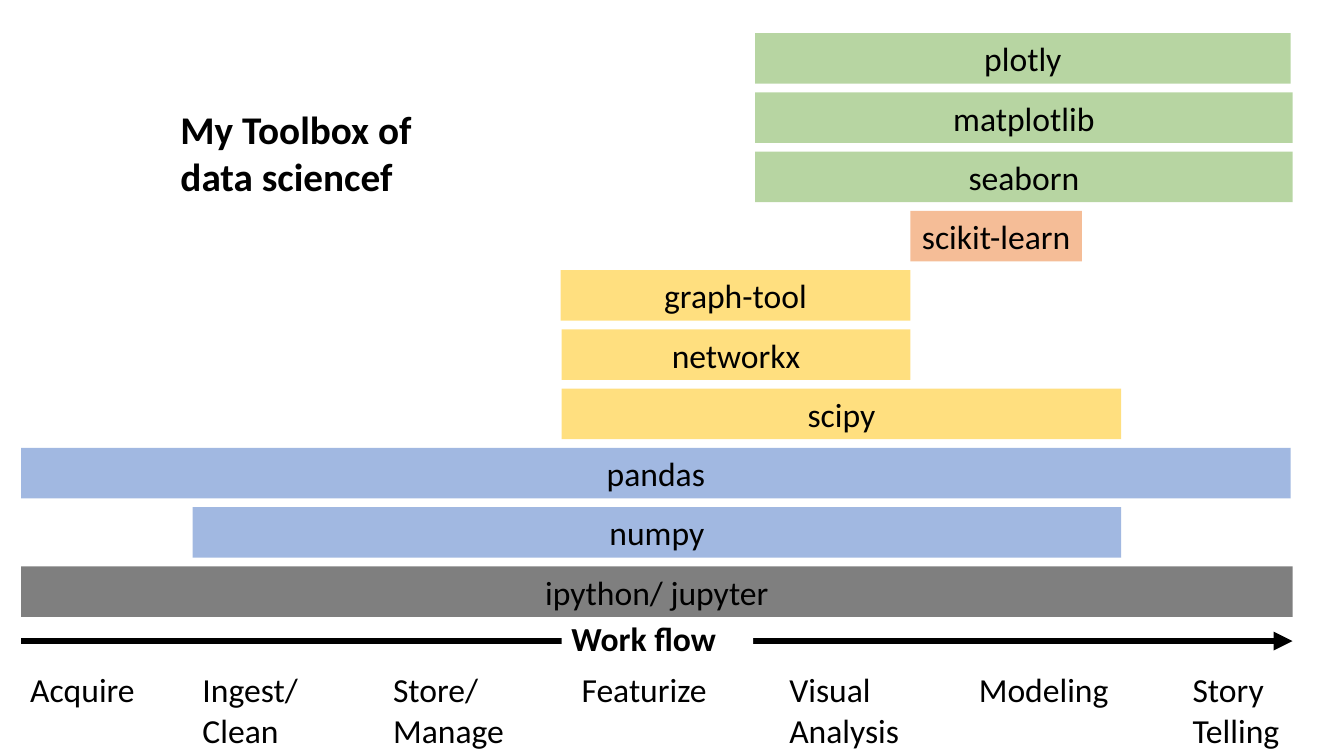
from lxml import etree
from pptx import Presentation
from pptx.dml.color import RGBColor
from pptx.enum.shapes import MSO_CONNECTOR, MSO_SHAPE
from pptx.enum.text import MSO_ANCHOR, MSO_AUTO_SIZE, PP_ALIGN
from pptx.oxml.ns import qn
from pptx.util import Inches, Pt

RECTANGLE = MSO_SHAPE.RECTANGLE
STRAIGHT = MSO_CONNECTOR.STRAIGHT
LEFT, CENTER = PP_ALIGN.LEFT, PP_ALIGN.CENTER
TOP, MIDDLE = MSO_ANCHOR.TOP, MSO_ANCHOR.MIDDLE
NO_FIT = MSO_AUTO_SIZE.NONE

COLORS = {
    "black": "000000",
    "white": "FFFFFF",
    "blue": "4472C4",
    "yellow": "FFC000",
    "orange": "ED7D31",
    "green": "70AD47",
}
FLOW_LEFT, FLOW_RIGHT, FLOW_TOP = 0.21, 12.82, 6.36
FIRST_BAR_TOP, LAST_BAR_TOP, ROW_HEIGHT = 0.33, 5.62, 0.5
STAGE_TOP = 6.59

# Tool, left edge, right edge, color; from top to bottom
TOOLS = [
    ("plotly", 7.49, 12.8, "green"),
    ("matplotlib", 7.49, FLOW_RIGHT, "green"),
    ("seaborn", 7.49, FLOW_RIGHT, "green"),
    ("scikit-learn", 9.03, 10.73, "orange"),
    ("graph-tool", 5.56, 9.03, "yellow"),
    ("networkx", 5.57, 9.03, "yellow"),
    ("scipy", 5.57, 11.12, "yellow"),
    ("pandas", FLOW_LEFT, 12.8, "blue"),
    ("numpy", 1.91, 11.12, "blue"),
    ("ipython/ jupyter", FLOW_LEFT, FLOW_RIGHT, "black"),
]
# Stage lines, left edge, width
STAGES = [
    (["Acquire"], 0.2, 1.25),
    (["Ingest/", "Clean"], 1.91, 1.16),
    (["Store/", "Manage"], 3.8, 1.31),
    (["Featurize"], 5.67, 1.46),
    (["Visual", "Analysis"], 7.73, 1.3),
    (["Modeling"], 9.61, 1.5),
    (["Story", "Telling"], 11.73, 1.07),
]


class ToolboxSlide:
    """Holds the text style and the current slide."""

    def __init__(self, page, font="Calibri", size=24):
        """Keep the page and its default font."""
        self.page, self.font, self.size = page, font, size

    def color(self, name):
        """Return the named color."""
        return RGBColor.from_string(COLORS[name])

    def set_text(self, shape, lines, align=LEFT, anchor=TOP, bold=False,
                 size=None, wrap=True):
        """Fill a shape with one paragraph per line."""
        frame = shape.text_frame
        frame.text = "\n".join(lines)
        frame.word_wrap = wrap
        frame.auto_size = NO_FIT
        frame.vertical_anchor = anchor
        frame.margin_left = frame.margin_right = Inches(0.1)
        frame.margin_top = frame.margin_bottom = Inches(0.05)
        for para in frame.paragraphs:
            para.alignment = align
            para.font.name = self.font
            para.font.size = Pt(size or self.size)
            para.font.bold = bold
            para.font.color.rgb = self.color("black")

    def title(self, text, left, top, width, height):
        """Place and format the title placeholder."""
        box = self.page.shapes.title
        box.left, box.top = Inches(left), Inches(top)
        box.width, box.height = Inches(width), Inches(height)
        self.set_text(box, [text], bold=True, size=28)

    def label(self, lines, left, top, width, height):
        """Add an unwrapped text box."""
        box = self.page.shapes.add_textbox(
            Inches(left), Inches(top), Inches(width), Inches(height))
        self.set_text(box, lines, wrap=False)

    def bar(self, text, left, right, top, fill, opacity=100, **style):
        """Add a filled rectangle with one line of text."""
        box = self.page.shapes.add_shape(
            RECTANGLE, Inches(left), Inches(top),
            Inches(right - left), Inches(ROW_HEIGHT))
        box.shadow.inherit = False
        box.line.fill.background()
        box.fill.solid()
        box.fill.fore_color.rgb = self.color(fill)
        if opacity < 100:
            tint = next(box.element.spPr.iter(qn("a:srgbClr")))
            etree.SubElement(tint, qn("a:alpha"), val=str(opacity * 1000))
        self.set_text(box, [text], **style)

    def arrow(self, left, right, top):
        """Add a horizontal arrow pointing right."""
        arrow = self.page.shapes.add_connector(
            STRAIGHT, Inches(left), Inches(top), Inches(right), Inches(top))
        arrow.line.width = Pt(4.5)
        arrow.line.color.rgb = self.color("black")
        etree.SubElement(arrow.get_or_add_ln(), qn("a:tailEnd"),
                         type="triangle")
        etree.SubElement(arrow.element.spPr, qn("a:effectLst"))


def main():
    """Build the deck and save it."""
    deck = Presentation()
    deck.slide_width, deck.slide_height = Inches(13.33), Inches(7.5)
    slide = ToolboxSlide(deck.slides.add_slide(deck.slide_layouts[5]))

    slide.title("My Toolbox of data sciencef", 1.69, 0.99, 2.76, 1.04)
    for lines, left, width in STAGES:
        height = 0.1 + 0.4 * len(lines)
        slide.label(lines, left, STAGE_TOP, width, height)

    slide.arrow(FLOW_LEFT, FLOW_RIGHT, FLOW_TOP)
    slide.bar("Work flow", 5.57, 7.47, 6.08, "white", bold=True)

    step = (LAST_BAR_TOP - FIRST_BAR_TOP) / (len(TOOLS) - 1)
    for row, (tool, left, right, fill) in enumerate(TOOLS):
        slide.bar(tool, left, right, FIRST_BAR_TOP + row * step, fill,
                  opacity=50, align=CENTER, anchor=MIDDLE)

    deck.save("out.pptx")


main()
